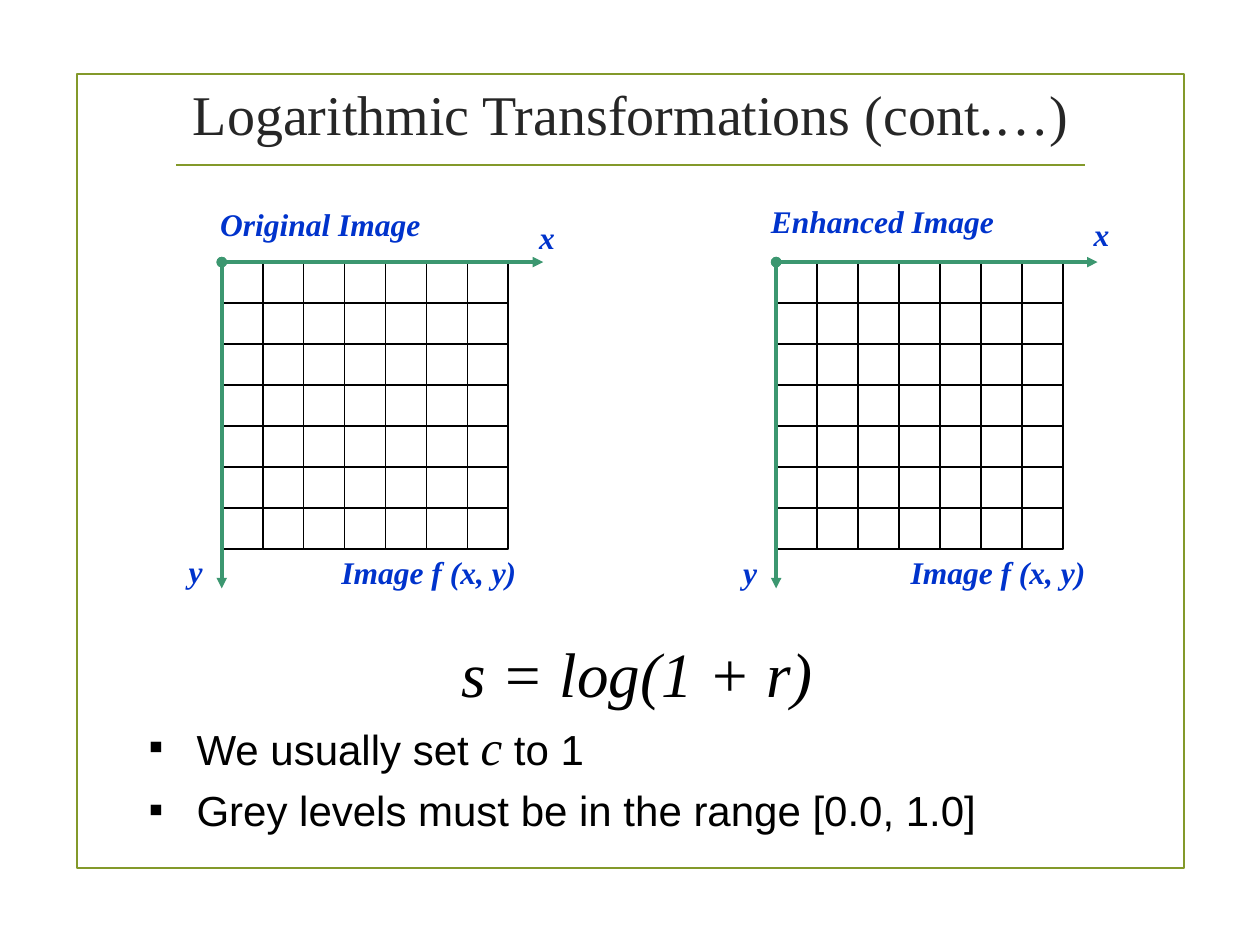
from dataclasses import dataclass
from itertools import product

from lxml import etree
from pptx import Presentation
from pptx.dml.color import RGBColor
from pptx.enum.shapes import MSO_CONNECTOR, MSO_SHAPE
from pptx.enum.text import MSO_ANCHOR, MSO_AUTO_SIZE, PP_ALIGN
from pptx.oxml.ns import qn
from pptx.util import Inches, Pt

RECTANGLE, STRAIGHT = MSO_SHAPE.RECTANGLE, MSO_CONNECTOR.STRAIGHT
MIDDLE, TOP = MSO_ANCHOR.MIDDLE, MSO_ANCHOR.TOP
CENTER, LEFT = PP_ALIGN.CENTER, PP_ALIGN.LEFT
FIT_SHAPE, NO_FIT = MSO_AUTO_SIZE.SHAPE_TO_FIT_TEXT, MSO_AUTO_SIZE.NONE

SERIF, SANS = "Times New Roman", "Arial"
OLIVE, GREEN, BLUE = "83992A", "3C9770", "0033CC"
BLACK, WHITE, CHARCOAL = "000000", "FFFFFF", "262626"

CELL = 0.325  # side of one pixel square, in inches
CELL_COUNT = 7
X_AXIS_CELLS, Y_AXIS_CELLS = 7.85, 7.97

LABEL = {"name": SERIF, "size": Pt(18), "bold": True, "italic": True, "color": BLUE}
BODY = {"name": SANS, "size": Pt(24), "italic": False, "color": BLACK}
VARIABLE = {"name": SERIF, "size": Pt(28), "italic": True, "color": BLACK}


@dataclass
class Label:
    """A caption placed in grid cells from the panel's origin."""
    text: str
    column: float
    row: float
    columns: float


@dataclass
class Panel:
    """An image grid with its origin in inches."""
    left: float
    top: float
    labels: list[Label]


PANELS = [
    Panel(1.76, 2.08, [
        Label("Original Image", -0.34, -1.54, 5.5),
        Label("x", 7.45, -1.23, 1.02),
        Label("y", -1.11, 6.92, 0.95),
        Label("Image f (x, y)", 2.62, 6.95, 4.89),
    ]),
    Panel(6.16, 2.08, [
        Label("Enhanced Image", -0.43, -1.63, 6.06),
        Label("x", 7.45, -1.29, 1.02),
        Label("y", -1.11, 6.95, 0.95),
        Label("Image f (x, y)", 2.98, 6.95, 4.89),
    ]),
]
BULLETS = [
    [("We usually set ", BODY), ("c", VARIABLE), (" to 1", BODY)],
    [("Grey levels must be in the range [0.0, 1.0]", BODY)],
]


def rgb(value: str) -> RGBColor:
    return RGBColor.from_string(value)


def place(shape, left: float, top: float, width: float, height: float) -> None:
    box = {"left": left, "top": top, "width": width, "height": height}
    for name, inches in box.items():
        setattr(shape, name, Inches(inches))


def add_span(para, text: str, style: dict) -> None:
    span = para.add_run()
    span.text = text
    for name, value in style.items():
        if name == "color":
            span.font.color.rgb = rgb(value)
        else:
            setattr(span.font, name, value)


def format_frame(frame, **values) -> None:
    for name, value in values.items():
        setattr(frame, name, value)


def add_box(shapes, left: float, top: float, width: float, height: float,
            color: str, weight: float, fill: str | None = None) -> None:
    box = shapes.add_shape(RECTANGLE, *map(Inches, (left, top, width, height)))
    box.shadow.inherit = False
    if fill:
        box.fill.solid()
        box.fill.fore_color.rgb = rgb(fill)
    else:
        box.fill.background()
    box.line.color.rgb = rgb(color)
    box.line.width = Pt(weight)


def add_line(shapes, start: tuple[float, float], end: tuple[float, float],
             color: str, weight: float, arrow: bool = False) -> None:
    line = shapes.add_connector(STRAIGHT, *map(Inches, start + end))
    line.line.color.rgb = rgb(color)
    line.line.width = Pt(weight)
    properties = line._element.spPr
    if arrow:
        outline = properties.find(qn("a:ln"))
        for tag, kind in (("a:headEnd", "oval"), ("a:tailEnd", "triangle")):
            etree.SubElement(outline, qn(tag), type=kind)
    etree.SubElement(properties, qn("a:effectLst"))


def add_text(shapes, text: str, box: tuple[float, float, float, float],
             style: dict, align=LEFT, wrap: bool = False) -> None:
    frame = shapes.add_textbox(*map(Inches, box)).text_frame
    format_frame(frame, word_wrap=wrap, auto_size=FIT_SHAPE)
    para = frame.paragraphs[0]
    para.alignment = align
    add_span(para, text, style)


def set_bullet(para, symbol: str, indent: float) -> None:
    properties = para._p.get_or_add_pPr()
    properties.set("marL", str(Inches(indent)))
    properties.set("indent", str(-Inches(indent)))
    etree.SubElement(properties, qn("a:buFont"), typeface=SANS)
    etree.SubElement(properties, qn("a:buChar"), char=symbol)


def draw_panel(page, panel: Panel) -> None:
    shapes = page.shapes.add_group_shape().shapes
    # Pixel squares
    for row, column in product(range(CELL_COUNT), repeat=2):
        add_box(shapes, panel.left + column * CELL, panel.top + row * CELL,
                CELL, CELL, BLACK, 1, WHITE)
    # Axes from the origin
    origin = (panel.left, panel.top)
    for columns, rows in ((X_AXIS_CELLS, 0), (0, Y_AXIS_CELLS)):
        end = (panel.left + columns * CELL, panel.top + rows * CELL)
        add_line(shapes, origin, end, GREEN, 2, arrow=True)
    # Captions
    for label in panel.labels:
        box = (panel.left + label.column * CELL, panel.top + label.row * CELL,
               label.columns * CELL, 0.4)
        add_text(shapes, label.text, box, LABEL)


def main() -> None:
    deck = Presentation()
    deck.slide_width, deck.slide_height = Inches(10), Inches(7.5)
    page = deck.slides.add_slide(deck.slide_layouts[1])
    title, body = page.placeholders

    # Frame and title rule
    add_box(page.shapes, 0.61, 0.59, 8.79, 6.3, OLIVE, 1.25)
    add_line(page.shapes, (1.4, 1.31), (8.61, 1.31), OLIVE, 1.25)

    # Title
    place(title, 1.29, 0.52, 7.44, 0.75)
    format_frame(title.text_frame, vertical_anchor=MIDDLE, auto_size=NO_FIT)
    para = title.text_frame.paragraphs[0]
    para.alignment = CENTER
    add_span(para, "Logarithmic Transformations (cont.…)",
             {"name": SERIF, "size": Pt(32), "color": CHARCOAL})

    # Image grids
    for panel in PANELS:
        draw_panel(page, panel)

    # Formula
    add_text(page.shapes, "s = log(1 + r)", (3.41, 4.99, 3.29, 0.7),
             {"name": SERIF, "size": Pt(36), "italic": True, "color": BLACK},
             CENTER, wrap=True)

    # Bullet list
    place(body, 1.08, 5.64, 8.38, 1.14)
    frame = body.text_frame
    format_frame(frame, vertical_anchor=TOP, auto_size=NO_FIT, word_wrap=True)
    for index, spans in enumerate(BULLETS):
        para = frame.add_paragraph() if index else frame.paragraphs[0]
        set_bullet(para, "▪", 0.38)
        for text, style in spans:
            add_span(para, text, style)

    deck.save("out.pptx")


if __name__ == "__main__":
    main()
